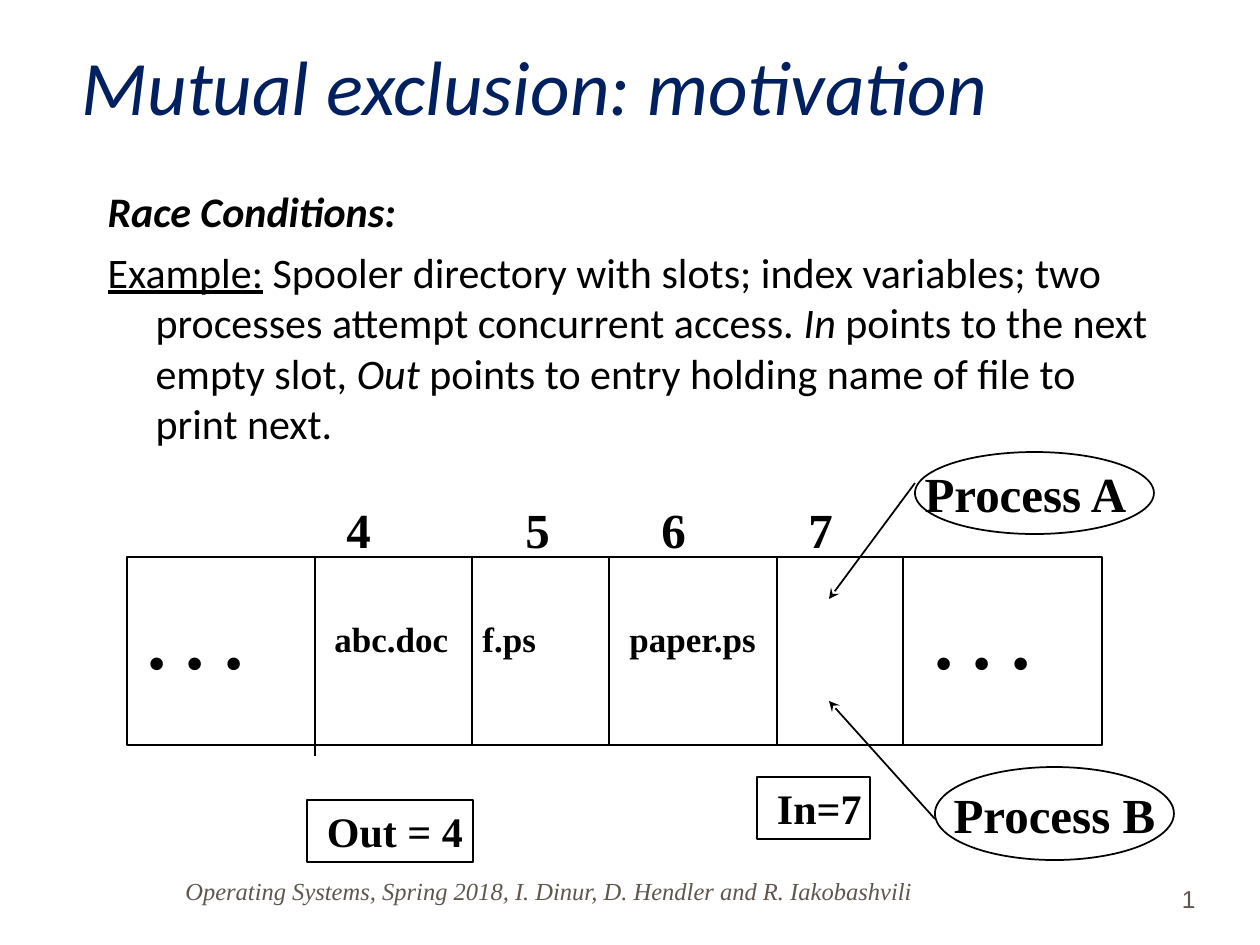
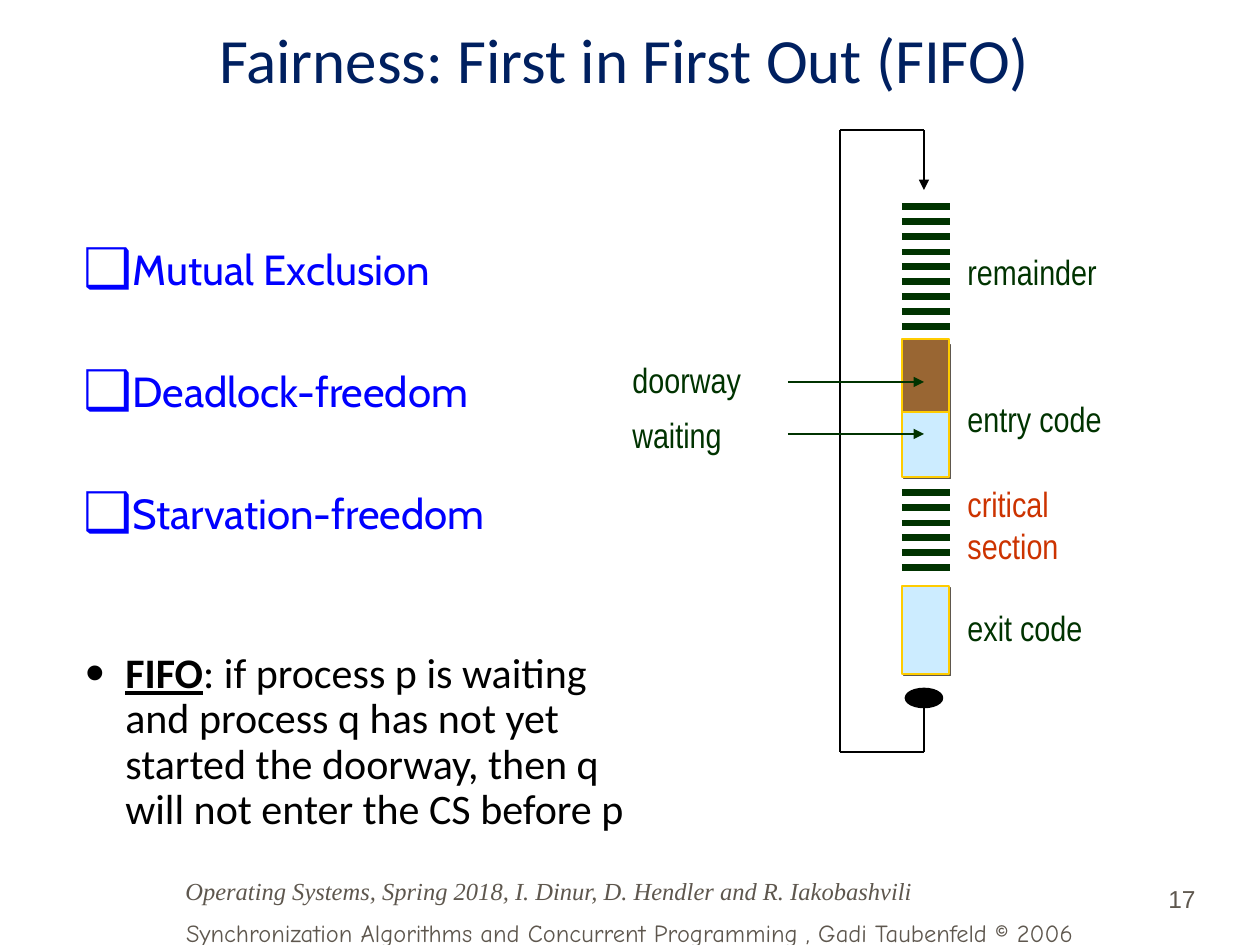
from lxml import etree
from pptx import Presentation
from pptx import util as u
from pptx.dml.color import RGBColor
from pptx.enum import shapes, text
from pptx.oxml.ns import qn

SCALE = 914400 / 126
BLACK, WHITE, NAVY, GREY = "000000", "FFFFFF", "002060", "5E574E"
BLUE, GREEN, RED = "0000FF", "003300", "CC3300"
GOLD, SKY, BROWN = "FFCC00", "CCECFF", "996633"
SERIF, SANS, NARROW = "Times New Roman", "Calibri", "Arial Narrow"
LEFT, CENTER, RIGHT = text.PP_ALIGN.LEFT, text.PP_ALIGN.CENTER, text.PP_ALIGN.RIGHT
TOP, MIDDLE, BOTTOM = text.MSO_ANCHOR.TOP, text.MSO_ANCHOR.MIDDLE, text.MSO_ANCHOR.BOTTOM
RECT, OVAL = shapes.MSO_SHAPE.RECTANGLE, shapes.MSO_SHAPE.OVAL


def px(*lengths):
    return [u.Emu(round(length * SCALE)) for length in lengths]


def rgb(color):
    return RGBColor.from_string(color)


def style(span, size, font, color, bold=False, italic=False, underline=False):
    span.font.size, span.font.name = u.Pt(size), font
    span.font.color.rgb = rgb(color)
    span.font.bold, span.font.italic, span.font.underline = bold, italic, underline


def write(box, words, size, font, color, align=LEFT, anchor=TOP, spacing=1.0, **marks):
    frame = box.text_frame
    frame.text = words
    frame.word_wrap = True
    frame.auto_size = text.MSO_AUTO_SIZE.NONE
    frame.vertical_anchor = anchor
    for para in frame.paragraphs:
        para.alignment, para.line_spacing = align, spacing
        para.space_before = u.Pt(0)
        for span in para.runs:
            style(span, size, font, color, **marks)


def label(page, words, left, top, width, height, *look, **options):
    box = page.shapes.add_textbox(*px(left, top, width, height))
    write(box, words, *look, **options)
    return box


def block(page, kind, left, top, width, height, fill=WHITE, line=BLACK, weight=1):
    shape = page.shapes.add_shape(kind, *px(left, top, width, height))
    shape.shadow.inherit = False
    shape.fill.solid()
    shape.fill.fore_color.rgb = rgb(fill)
    shape.line.color.rgb = rgb(line)
    shape.line.width = u.Pt(weight)
    return shape


def drop_shadow(shape):
    effects = shape._element.spPr.find(qn("a:effectLst"))
    shadow = etree.SubElement(effects, qn("a:outerShdw"), dist="17780", dir="2700000", algn="ctr")
    etree.SubElement(shadow, qn("a:srgbClr"), val=GREY)


def rule(page, start, end, color=BLACK, weight=1, arrow=None):
    line = page.shapes.add_connector(shapes.MSO_CONNECTOR.STRAIGHT, *px(*start, *end))
    line.line.color.rgb = rgb(color)
    line.line.width = u.Pt(weight)
    if arrow:
        etree.SubElement(line.line._get_or_add_ln(), qn("a:tailEnd"), type=arrow)
    etree.SubElement(line._element.spPr, qn("a:effectLst"))


def hang(para, indent, bullet=None, color=BLACK):
    props = para._p.get_or_add_pPr()
    props.set("marL", str(px(indent)[0]))
    props.set("indent", str(-px(indent)[0]))
    if bullet is None:
        etree.SubElement(props, qn("a:buNone"))
        return
    tint = etree.SubElement(props, qn("a:buClr"))
    etree.SubElement(tint, qn("a:srgbClr"), val=color)
    etree.SubElement(props, qn("a:buSzPct"), val="130000")
    etree.SubElement(props, qn("a:buFont"), typeface="Arial")
    etree.SubElement(props, qn("a:buChar"), char=bullet)


def place(shape, left, top, width, height):
    shape.left, shape.top, shape.width, shape.height = px(left, top, width, height)


def start_page(deck, title, box, number, size, **options):
    page = deck.slides.add_slide(deck.slide_layouts[1])
    place(page.shapes.title, *box)
    write(page.shapes.title, title, size, SANS, NAVY, anchor=MIDDLE, **options)
    label(page, "Operating Systems, Spring 2018, I. Dinur, D. Hendler and R. Iakobashvili",
          173, 869, 804, 43, 14, SERIF, GREY, anchor=BOTTOM, italic=True)
    label(page, number, 1063, 857, 145, 63, 14, "Arial", GREY, align=RIGHT, anchor=BOTTOM)
    return page


def race_text(body, left, top):
    place(body, left, top, 1071, 651)
    write(body, "Race Conditions:\n", 24, SANS, BLACK, bold=True, italic=True)
    heading, example = body.text_frame.paragraphs
    pieces = [
        ("Example:", {"underline": True}),
        (" Spooler directory with slots; index variables; two processes attempt "
         "concurrent access. ", {}),
        ("In", {"italic": True}),
        (" points to the next empty slot, ", {}),
        ("Out", {"italic": True}),
        (" points to entry holding name of file to print next.", {}),
    ]
    for words, marks in pieces:
        span = example.add_run()
        span.text = words
        style(span, 24, SANS, BLACK, **marks)
    example.space_before = u.Pt(6)
    for para in (heading, example):
        hang(para, 48)


def spooler(page, left, top):
    block(page, RECT, left, top, 975, 188)
    for offset, length in ((188, 199), (345, 188), (482, 188), (650, 188), (776, 188)):
        rule(page, (left + offset, top), (left + offset, top + length))
    for offset in (8, 795):
        label(page, ". . .", left + offset, top + 29, 150, 105, 44, SERIF, BLACK, bold=True)
    for name, offset in (("abc.doc", 195), ("f.ps", 343), ("paper.ps", 490)):
        label(page, name, left + offset, top + 54, 170, 54, 20, SERIF, BLACK, bold=True)
    for slot, offset in enumerate((207, 386, 522, 669), 4):
        label(page, str(slot), left + offset, top - 64, 50, 72, 28, SERIF, BLACK, bold=True)


def index_box(page, words, left, top, width):
    box = block(page, RECT, left, top, width, 62)
    write(box, words, 24, SERIF, BLACK, anchor=MIDDLE, bold=True)
    box.text_frame.margin_left, box.text_frame.margin_right = px(20, 0)


def process(page, words, left, top, height, start, target, shift=0):
    oval = block(page, OVAL, left, top, 239, height)
    write(oval, words, 28, SERIF, BLACK, align=CENTER, anchor=MIDDLE, bold=True)
    frame = oval.text_frame
    frame.word_wrap = False
    frame.margin_left, frame.margin_right = px(0, 2 * shift)
    rule(page, (left, top + start), target, arrow="stealth")


def properties(body, left, top):
    place(body, left, top, 732, 411)
    write(body, "Mutual Exclusion\nDeadlock-freedom\nStarvation-freedom", 24, "Cabin", BLUE)
    for index, para in enumerate(body.text_frame.paragraphs):
        para.space_before = u.Pt(41 if index else 0)
        hang(para, 48, "❑", BLUE)


def fifo_rule(page, left, top):
    box = label(page, "FIFO", left, top, 716, 194, 24, SANS, BLACK,
                spacing=0.9, bold=True, underline=True)
    para = box.text_frame.paragraphs[0]
    lines = (": if process p is waiting", "and process q has not yet",
             "started the doorway, then q", "will not enter the CS before p")
    for index, line in enumerate(lines):
        if index:
            para.add_line_break()
        span = para.add_run()
        span.text = line
        style(span, 24, SANS, BLACK)
    hang(para, 40, "•")


def stripes(page, left, top, count):
    for y in range(top, top + 15 * count, 15):
        rule(page, (left, y), (left + 48, y), GREEN, 4)


def process_loop(page, left, top):
    bar, middle, back = left + 282, left + 304, left + 220
    stripes(page, bar, top + 77, 9)
    stripes(page, bar, top + 363, 6)
    for offset, height in ((213, 134), (456, 88)):
        drop_shadow(block(page, RECT, bar, top + offset, 47, height, SKY, GOLD))
    block(page, RECT, bar, top + 209, 47, 73, BROWN, GOLD)
    block(page, OVAL, middle - 18, top + 559, 36, 18, BLACK, BLACK, 1.5)

    corners = [(middle, top + 570), (middle, top + 622), (back, top + 622),
               (back, top), (middle, top), (middle, top + 60)]
    for start, end in zip(corners, corners[1:]):
        rule(page, start, end, BLACK, 1.5, "triangle" if end == corners[-1] else None)

    for words, offset, height, color in (
            ("remainder", 114, 54, GREEN), ("entry code", 261, 54, GREEN),
            ("critical\nsection", 346, 94, RED), ("exit code", 470, 54, GREEN)):
        label(page, words, left + 335, top + offset, 180, height, 20, NARROW, color)
    label(page, "doorway\nwaiting", left, top + 210, 150, 122, 20, NARROW, GREEN, spacing=1.3)
    for offset in (252, 304):
        rule(page, (left + 168, top + offset), (middle, top + offset), GREEN, 0.75, "triangle")


def motivation_page(deck):
    page = start_page(deck, "Mutual exclusion: motivation", (69, 53, 1191, 63), "1", 44,
                      italic=True)
    race_text(page.placeholders[1], 95, 179)
    spooler(page, 127, 557)
    index_box(page, "Out = 4", 307, 800, 166)
    index_box(page, "In=7", 757, 777, 113)
    process(page, "Process A", 915, 452, 82, 31, (829, 599), shift=9)
    process(page, "Process B", 935, 767, 93, 52, (829, 701))


def fairness_page(deck):
    page = start_page(deck, "Fairness: First in First Out (FIFO)", (34, 0, 1181, 117), "17", 36,
                      align=CENTER)
    properties(page.placeholders[1], 71, 237)
    process_loop(page, 620, 130)
    fifo_rule(page, 73, 646)
    label(page, "Synchronization Algorithms and Concurrent Programming , "
          "Gadi Taubenfeld © 2006", 0, 912, 1260, 33, 14, "Comic Neue", GREY, align=CENTER)


def main():
    deck = Presentation()
    deck.slide_width, deck.slide_height = px(1260, 945)
    motivation_page(deck)
    fairness_page(deck)
    deck.save("out.pptx")


if __name__ == "__main__":
    main()
